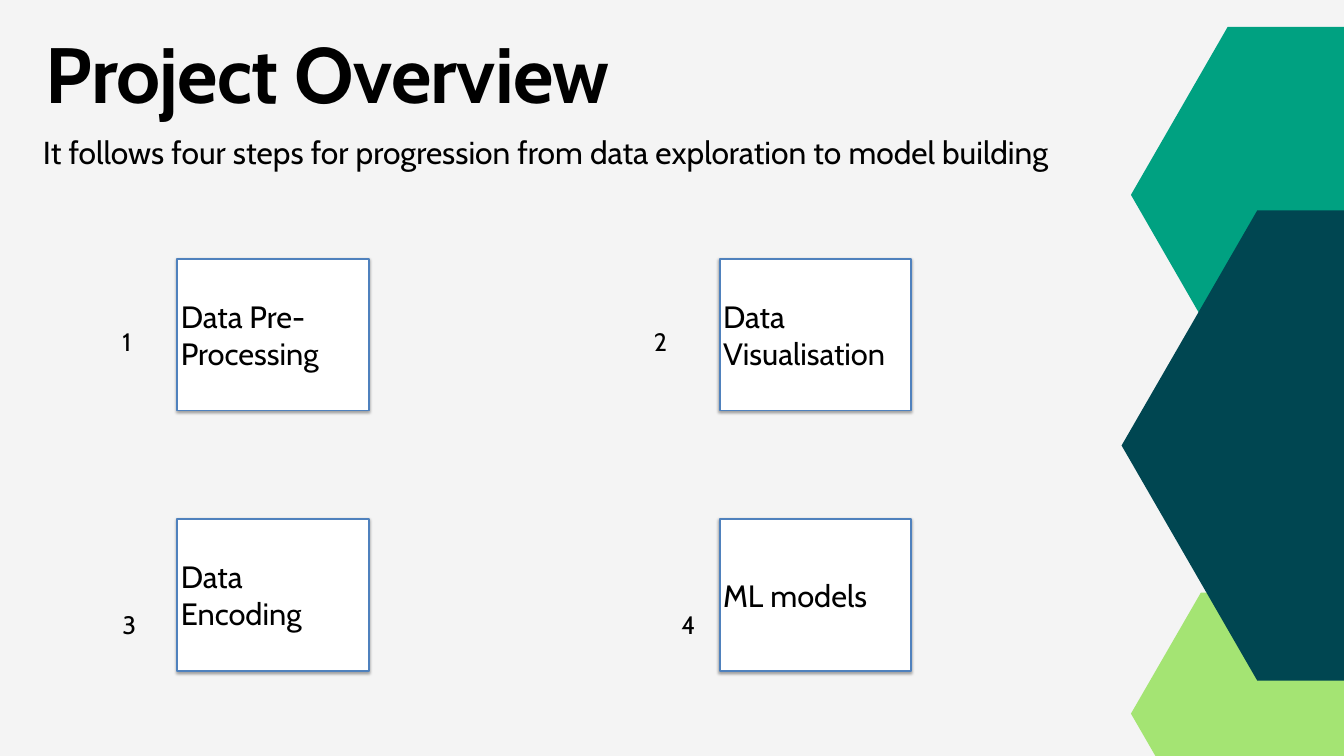
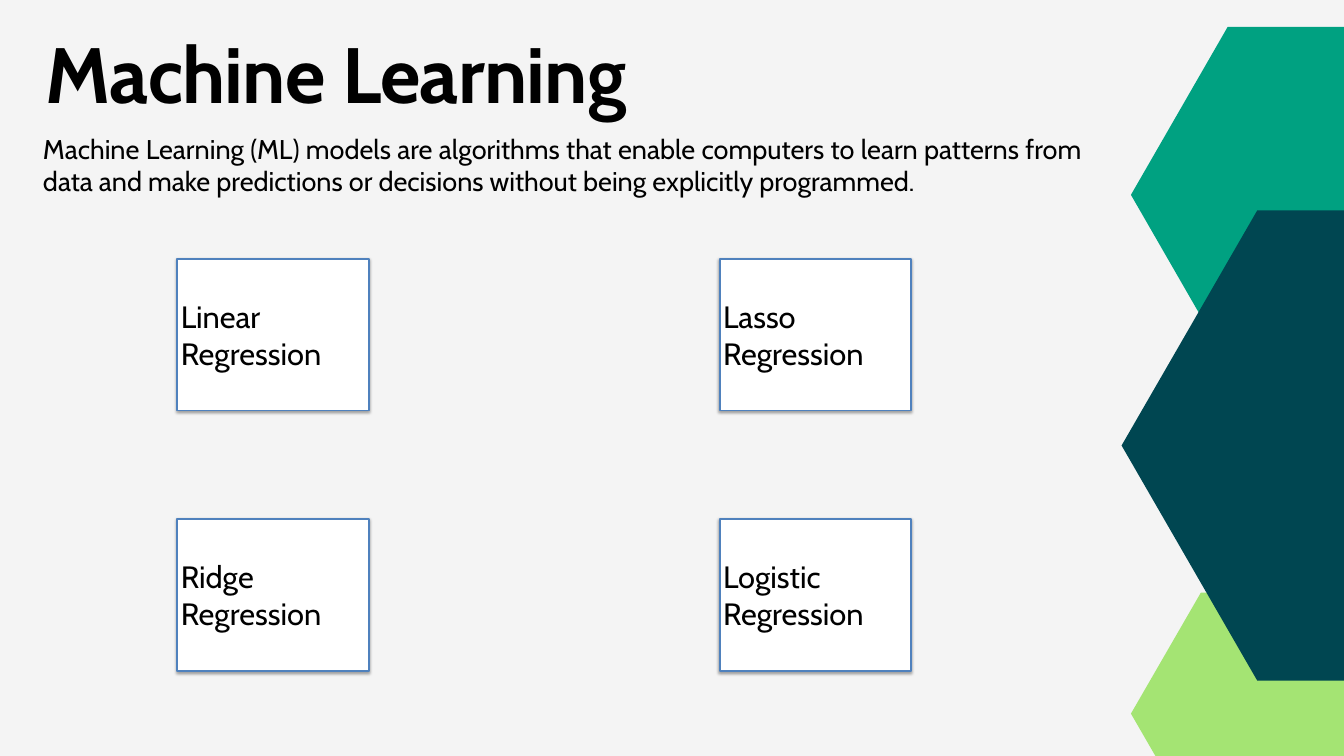
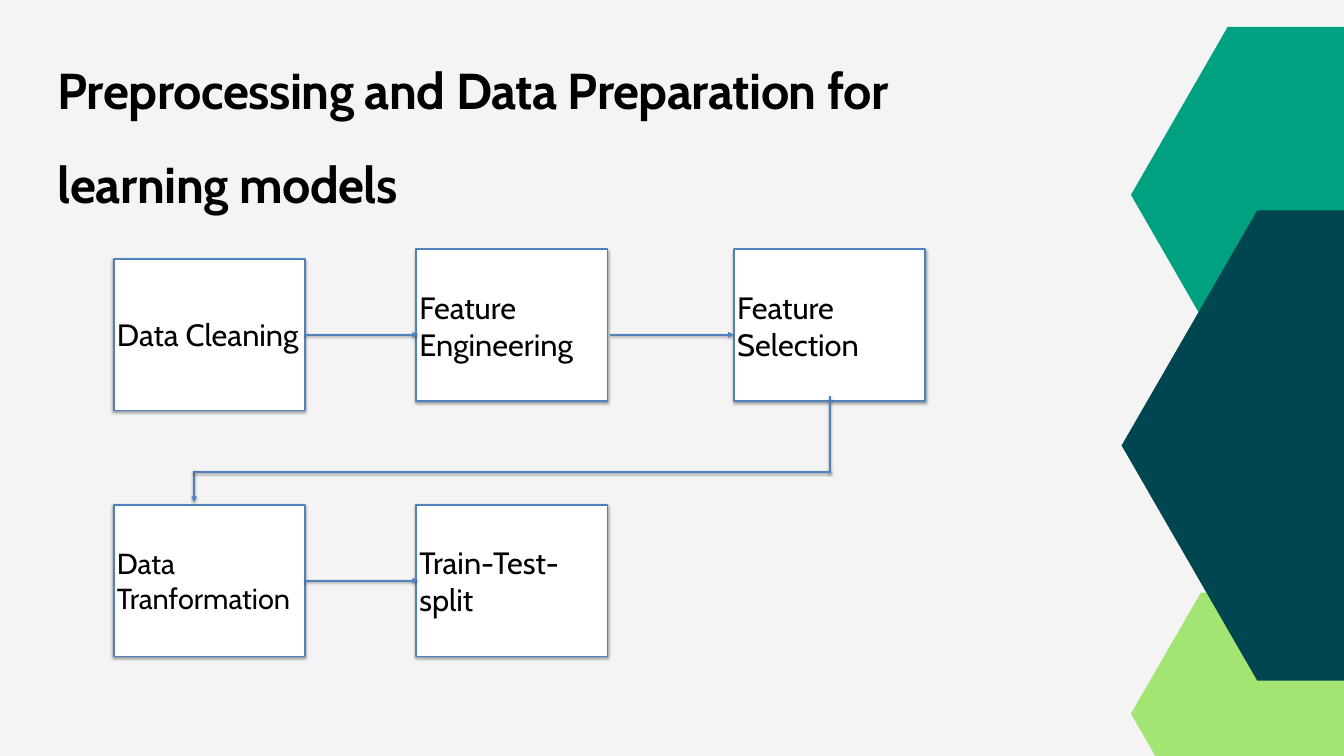
"""Build three slides on the steps and models of a machine learning project."""
from pptx import Presentation
from pptx import util as u
from pptx.dml.color import RGBColor
from pptx.enum import shapes, text
from pptx.oxml import parse_xml
from pptx.oxml.ns import nsdecls, qn

PX = 9144
FONT = "Cabin"
COLORS = {"bg": "F4F4F4", "ink": "000000", "card": "FFFFFF", "edge": "4F81BD",
          "green": "00A181", "lime": "A4E473", "teal": "004651"}
RGB = {name: RGBColor.from_string(value) for name, value in COLORS.items()}
CARD_W, CARD_H = 285, 226
HEXAGONS = [(1683, 40, 577, 500, "green"), (1683, 882, 416, 360, "lime"),
            (1669, 313, 808, 700, "teal")]
GRID = [(x, y) for y in (385, 772) for x in (264, 1071)]


def write(sp, content, size=33, bold=False, spacing=0, align=text.PP_ALIGN.LEFT,
          anchor=text.MSO_ANCHOR.TOP, inset=0, before=0, leading=None, grow=True):
    tf = sp.text_frame
    tf.word_wrap = True
    tf.auto_size = text.MSO_AUTO_SIZE.SHAPE_TO_FIT_TEXT if grow else text.MSO_AUTO_SIZE.NONE
    tf.vertical_anchor = anchor
    tf.margin_left = tf.margin_right = tf.margin_top = tf.margin_bottom = inset * PX
    p = tf.paragraphs[0]
    p.alignment = align
    p.space_before = u.Pt(before)
    if leading:
        p.line_spacing = u.Pt(leading)
    r = p.add_run()
    r.text = content
    r.font.name, r.font.size, r.font.bold = FONT, u.Pt(size), bold
    r.font.color.rgb = RGB["ink"]
    if spacing:
        r.font._element.set("spc", str(round(spacing * 100)))


def outline(sp, alpha, dist):
    sp.line.color.rgb = RGB["edge"]
    sp.line.width = u.Pt(2)
    sp._element.spPr.append(parse_xml(
        f'<a:effectLst {nsdecls("a")}><a:outerShdw blurRad="{u.Pt(3)}" dist="{u.Pt(dist)}" '
        f'dir="5400000" rotWithShape="0"><a:srgbClr val="{COLORS["ink"]}">'
        f'<a:alpha val="{alpha * 1000}"/></a:srgbClr></a:outerShdw></a:effectLst>'))


SLIDES = [
    {"title": "Project Overview",
     "intro": ("It follows four steps for progression from data exploration to model building",
               34, 114),
     "cards": list(zip(["Data Pre-Processing", "Data Visualisation", "Data Encoding",
                        "ML models"], GRID)),
     "numbers": [("1", 177, 480), ("2", 968, 480), ("3", 177, 902), ("4", 1009, 902)]},
    {"title": "Machine Learning",
     "intro": ("Machine Learning (ML) models are algorithms that enable computers to learn "
               "patterns from data and make predictions or decisions without being "
               "explicitly programmed.", 29, 133),
     "cards": list(zip(["Linear Regression", "Lasso Regression", "Ridge Regression",
                        "Logistic Regression"], GRID))},
    {"title": "Preprocessing and Data Preparation for learning models",
     "title_box": (86, 37, 1353, 270), "title_size": 54, "title_spacing": -0.5,
     "cards": [("Data Cleaning", (169, 385)), ("Feature Engineering", (619, 371)),
               ("Feature Selection", (1092, 371)), ("Data Tranformation", (169, 751)),
               ("Train-Test-split", (619, 751))],
     "sizes": {"Data Tranformation": 31},
     "lines": [(454, 498, 622, 498, True), (908, 498, 1092, 498, True),
               (289, 701, 289, 747, True), (1235, 704, 1235, 589, False),
               (288, 702, 1236, 702, False), (454, 864, 622, 864, True)]},
]

prs = Presentation()
prs.slide_width, prs.slide_height = 2000 * PX, 1125 * PX

for page in SLIDES:
    s = prs.slides.add_slide(prs.slide_layouts[5])
    s.background.fill.solid()
    s.background.fill.fore_color.rgb = RGB["bg"]

    title = s.shapes.title
    box = page.get("title_box", (68, 37, 1360, 139))
    title.left, title.top, title.width, title.height = [v * PX for v in box]
    write(title, page["title"], size=page.get("title_size", 84), bold=True,
          spacing=page.get("title_spacing", -0.8), leading=101)

    for x, y, w, h, color in HEXAGONS:
        left, right, middle = x + w / 4, x + w * 3 / 4, y + h / 2
        fb = s.shapes.build_freeform(x, middle, scale=PX)
        fb.add_line_segments([(left, y), (right, y), (x + w, middle),
                              (right, y + h), (left, y + h)], close=True)
        hexagon = fb.convert_to_shape()
        hexagon.fill.solid()
        hexagon.fill.fore_color.rgb = RGB[color]
        hexagon.line.fill.background()
        hexagon.shadow.inherit = False

    if "intro" in page:
        content, size, height = page["intro"]
        intro = s.shapes.add_textbox(64 * PX, 197 * PX, 1547 * PX, height * PX)
        write(intro, content, size=size, align=text.PP_ALIGN.JUSTIFY, before=12)

    for label, (x, y) in page["cards"]:
        card = s.shapes.add_shape(shapes.MSO_SHAPE.RECTANGLE,
                                  x * PX, y * PX, CARD_W * PX, CARD_H * PX)
        card.fill.solid()
        card.fill.fore_color.rgb = RGB["card"]
        outline(card, alpha=35, dist=1.8)
        write(card, label, size=page.get("sizes", {}).get(label, 33),
              anchor=text.MSO_ANCHOR.MIDDLE, inset=5, grow=False)

    for number, x, y in page.get("numbers", []):
        write(s.shapes.add_textbox(x * PX, y * PX, 32 * PX, 54 * PX), number, size=27, inset=5)

    for x1, y1, x2, y2, arrow in page.get("lines", []):
        line = s.shapes.add_connector(shapes.MSO_CONNECTOR.STRAIGHT,
                                      x1 * PX, y1 * PX, x2 * PX, y2 * PX)
        outline(line, alpha=38, dist=1.6)
        if arrow:
            line._element.spPr.find(qn("a:ln")).append(
                parse_xml(f'<a:tailEnd {nsdecls("a")} type="triangle"/>'))

prs.save("out.pptx")
